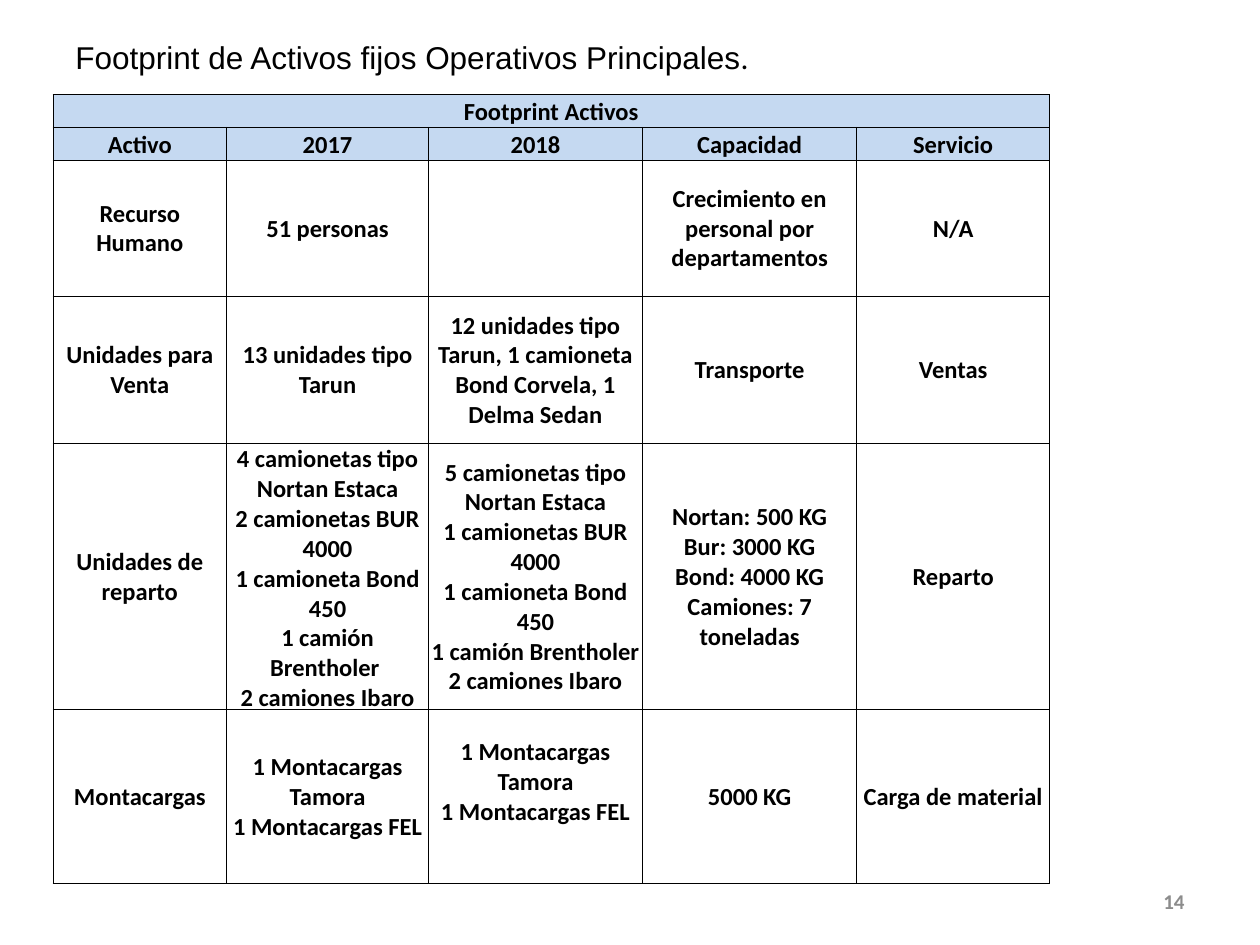
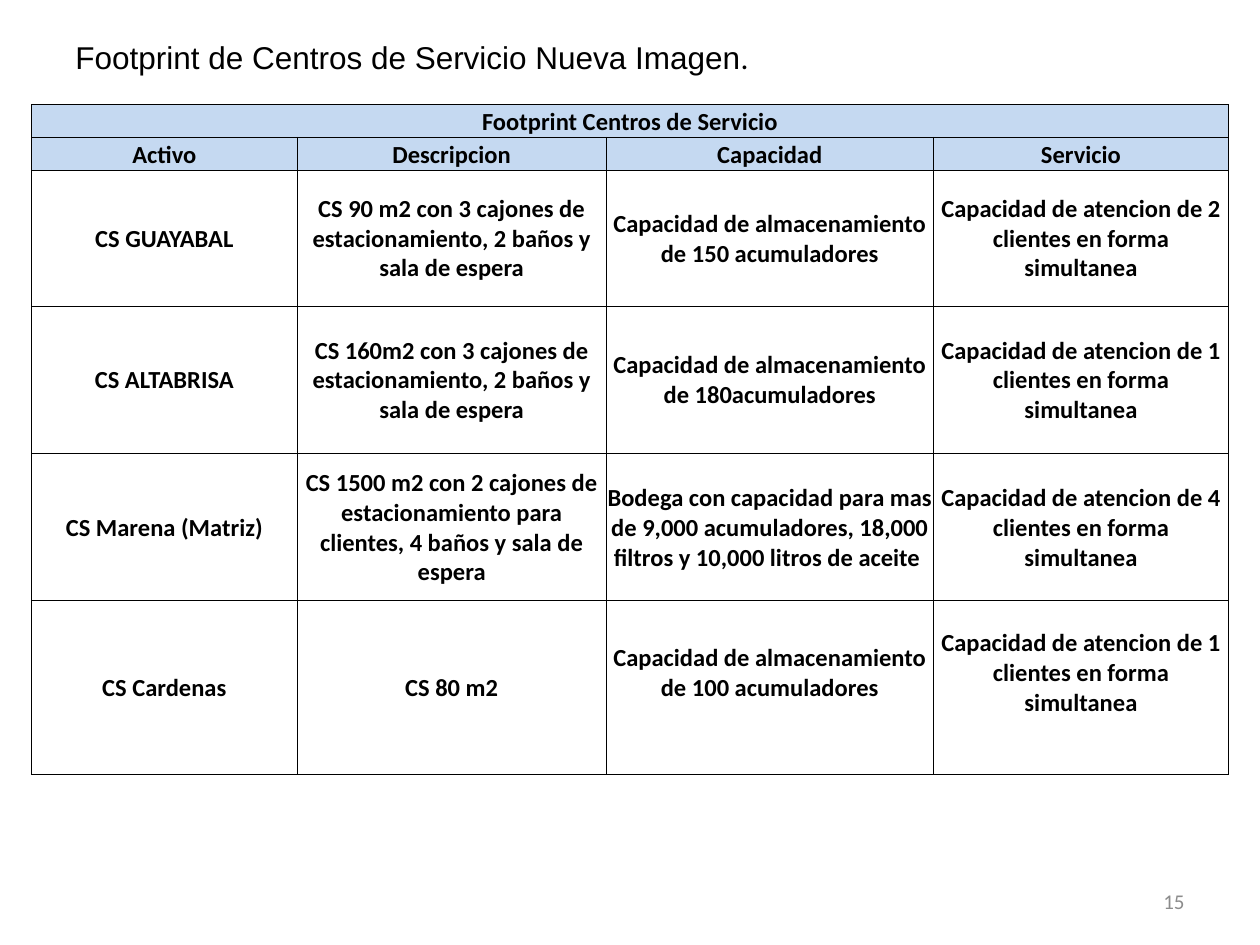
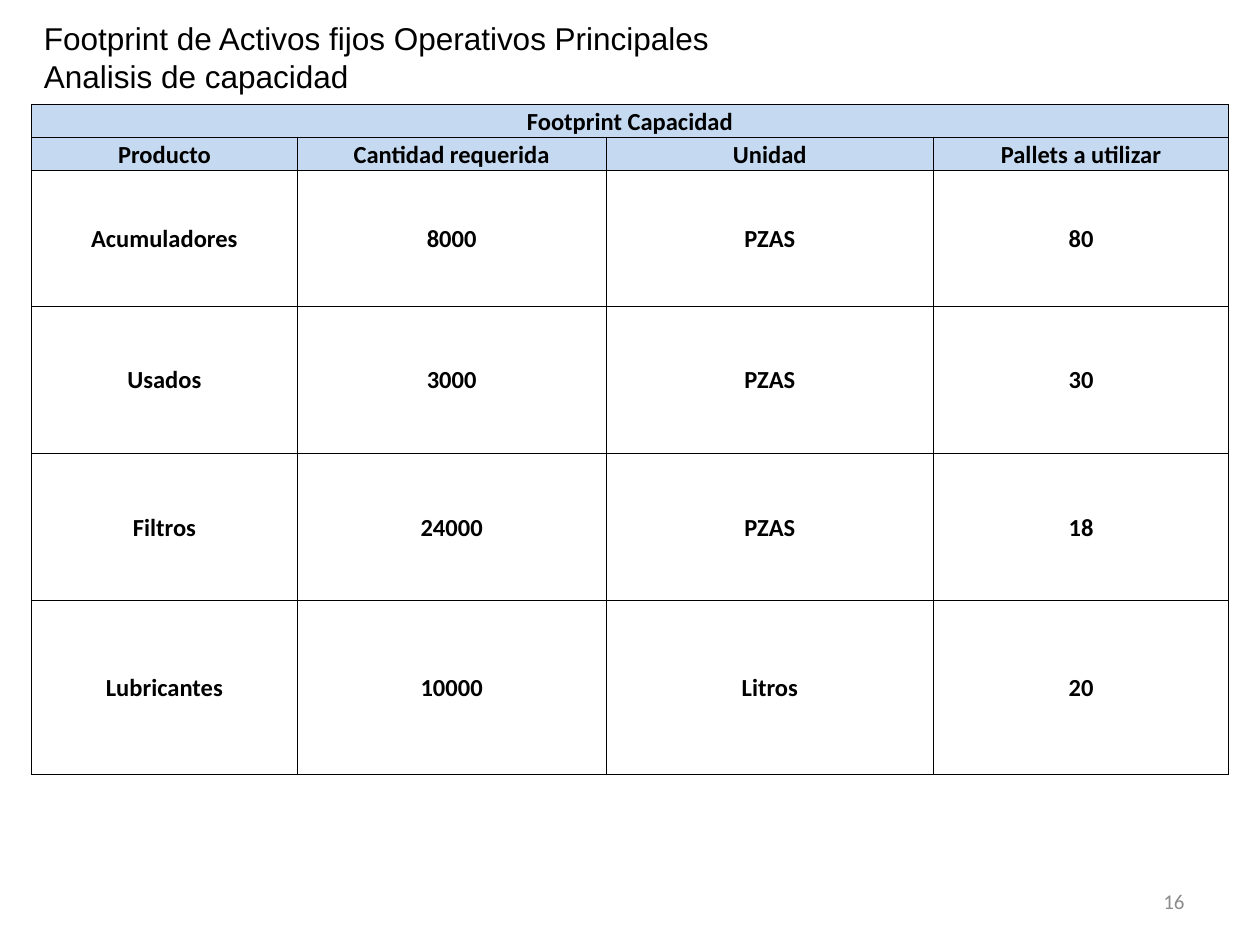
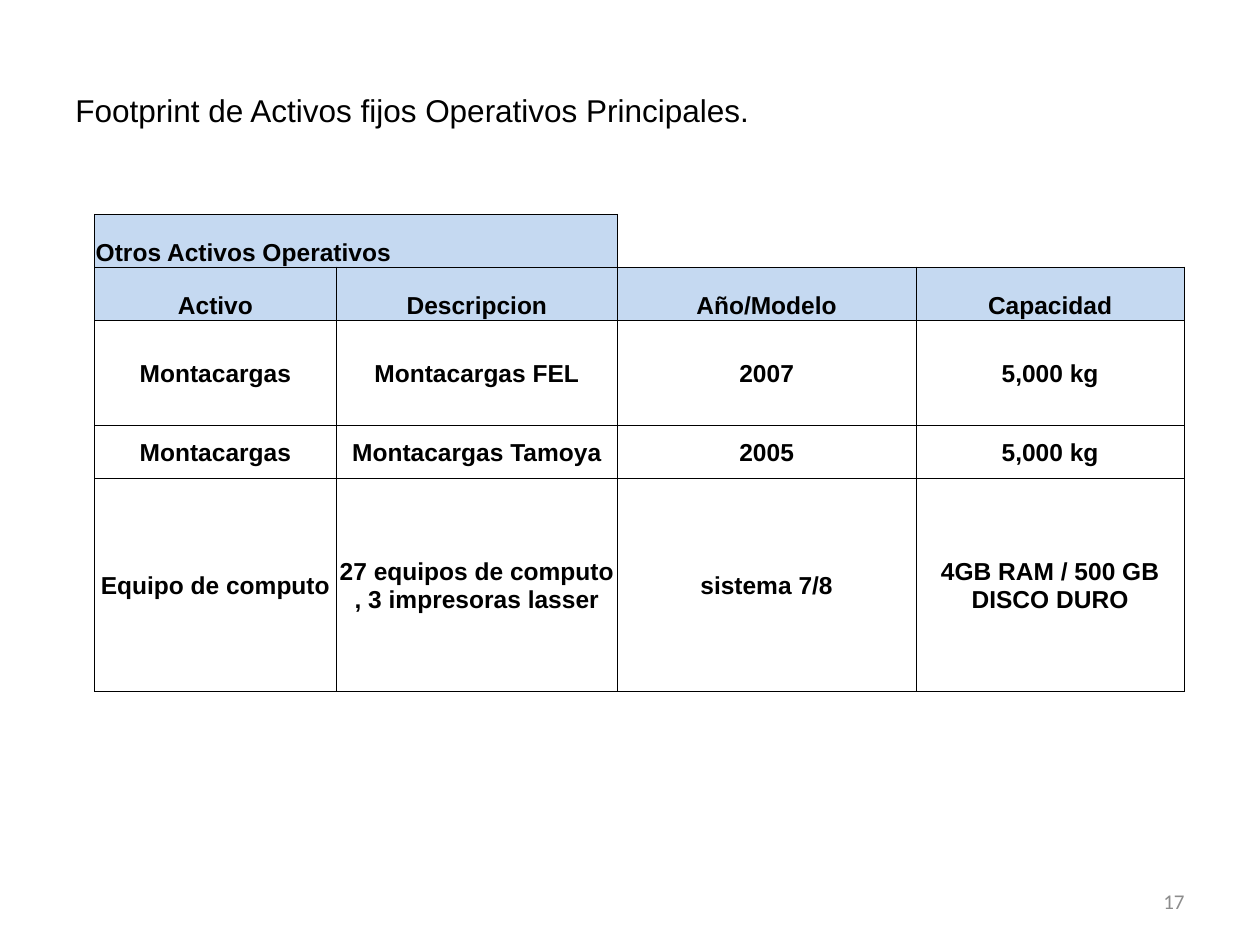
from lxml.etree import SubElement
from pptx import Presentation
from pptx.dml.color import RGBColor
from pptx.enum.text import MSO_ANCHOR, MSO_AUTO_SIZE, PP_ALIGN
from pptx.oxml.ns import qn
from pptx.util import Inches, Pt

BLACK = RGBColor(0x00, 0x00, 0x00)
GRAY = RGBColor(0x8C, 0x8C, 0x8C)
HEADER_BLUE = RGBColor(0xC5, 0xD9, 0xF1)
ALL_SIDES = ("lnL", "lnR", "lnT", "lnB")
NO_STYLE = "{2D5ABB26-0587-4C30-8999-92F81FD0307C}"


def write(frame, text, size=14, font="Calibri", color=BLACK, bold=False,
          align=PP_ALIGN.LEFT, ending=""):
    frame.word_wrap = True
    for index, line in enumerate(text.split("\n")):
        paragraph = frame.paragraphs[0] if index == 0 else frame.add_paragraph()
        paragraph.alignment = align
        pieces = [(line, font)] + ([(ending, "Calibri")] if ending else [])
        for words, face in pieces:
            run = paragraph.add_run()
            run.text = words
            run.font.size = Pt(size)
            run.font.name = face
            run.font.bold = bold
            run.font.color.rgb = color


def draw_borders(cell, sides):
    properties = cell._tc.get_or_add_tcPr()
    for side in sides:
        line = SubElement(properties, qn(f"a:{side}"), w=str(Pt(0.5)))
        fill = SubElement(line, qn("a:solidFill"))
        SubElement(fill, qn("a:srgbClr"), val=str(BLACK))


center_columns = [2.11, 2.45, 2.6, 2.34]
center_rows = [0.26, 0.26, 1.08, 1.17, 1.17, 1.38, 0.17]
attention = "Capacidad de atencion de {} clientes en forma simultanea"
storage = "Capacidad de almacenamiento de {}acumuladores"
fixed_assets = "Footprint de Activos fijos Operativos Principales"

pages = [
    {
        "number": 14, "title": fixed_assets, "ending": ".",
        "title_box": (0.5, 0.25, 6.13, 0.4), "font": "Calibri",
        "corner": (0.42, 0.75), "columns": [1.38, 1.6, 1.7, 1.7, 1.53],
        "rows": [0.26, 0.26, 1.08, 1.17, 2.11, 1.38],
        "heading_span": 5, "raised": [(5, 2)],
        "cells": [
            ["Footprint Activos", "", "", "", ""],
            ["Activo", "2017", "2018", "Capacidad", "Servicio"],
            ["Recurso Humano", "51 personas", "",
             "Crecimiento en personal por departamentos", "N/A"],
            ["Unidades para Venta", "13 unidades tipo Tarun",
             "12 unidades tipo Tarun, 1 camioneta Bond Corvela, 1 Delma Sedan",
             "Transporte", "Ventas"],
            ["Unidades de reparto",
             "4 camionetas tipo Nortan Estaca\n2 camionetas BUR 4000\n"
             "1 camioneta Bond 450\n1 camión Brentholer \n2 camiones Ibaro",
             "5 camionetas tipo Nortan Estaca\n1 camionetas BUR 4000\n"
             "1 camioneta Bond 450\n1 camión Brentholer \n2 camiones Ibaro",
             "Nortan: 500 KG\nBur: 3000 KG\nBond: 4000 KG\nCamiones: 7 toneladas",
             "Reparto"],
            ["Montacargas", "1 Montacargas Tamora\n1 Montacargas FEL",
             "1 Montacargas Tamora\n1 Montacargas FEL", "5000 KG",
             "Carga de material"],
        ],
    },
    {
        "number": 15, "title": "Footprint de Centros de Servicio Nueva Imagen",
        "ending": ".", "title_box": (0.5, 0.25, 6.13, 0.4), "font": "Calibri",
        "corner": (0.25, 0.83), "columns": center_columns, "rows": center_rows,
        "heading_span": 4, "raised": [(5, 2), (5, 3)],
        "cells": [
            ["Footprint Centros de Servicio", "", "", ""],
            ["Activo", "Descripcion", "Capacidad", "Servicio"],
            ["CS GUAYABAL",
             "CS 90 m2 con 3 cajones de estacionamiento, 2 baños y sala de espera",
             storage.format("150 "), attention.format(2)],
            ["CS ALTABRISA",
             "CS 160m2 con 3 cajones de estacionamiento, 2 baños y sala de espera",
             storage.format("180"), attention.format(1)],
            ["CS Marena (Matriz)",
             "CS 1500 m2 con 2 cajones de estacionamiento para clientes, "
             "4 baños y sala de espera",
             "Bodega con capacidad para mas de 9,000 acumuladores, "
             "18,000 filtros y 10,000 litros de aceite ",
             attention.format(4)],
            ["CS Cardenas", "CS 80 m2", storage.format("100 "),
             attention.format(1)],
            [None] * 4,
        ],
    },
    {
        "number": 16, "title": fixed_assets + "\nAnalisis de capacidad",
        "ending": "", "title_box": (0.25, 0.1, 9.08, 0.71), "font": "Calibri",
        "corner": (0.25, 0.83), "columns": center_columns, "rows": center_rows,
        "heading_span": 4, "raised": [],
        "cells": [
            ["Footprint Capacidad", "", "", ""],
            ["Producto", "Cantidad requerida", "Unidad", "Pallets a utilizar"],
            ["Acumuladores", "8000", "PZAS", "80"],
            ["Usados", "3000", "PZAS", "30"],
            ["Filtros", "24000", "PZAS", "18"],
            ["Lubricantes", "10000", "Litros", "20"],
            [None] * 4,
        ],
    },
    {
        "number": 17, "title": fixed_assets + ".", "ending": "",
        "title_box": (0.5, 0.67, 6.13, 0.4), "font": "Arial",
        "corner": (0.75, 1.7), "columns": [1.92, 2.23, 2.37, 2.13],
        "rows": [0.42, 0.42, 0.84, 0.42, 1.69],
        "heading_span": 2, "raised": [],
        "cells": [
            ["Otros Activos Operativos", "", None, None],
            ["Activo", "Descripcion", "Año/Modelo", "Capacidad"],
            ["Montacargas", "Montacargas FEL", "2007", "5,000 kg"],
            ["Montacargas", "Montacargas Tamoya", "2005", "5,000 kg"],
            ["Equipo de computo", "27 equipos de computo , 3 impresoras lasser",
             "sistema 7/8", "4GB RAM / 500 GB DISCO DURO"],
        ],
    },
]

deck = Presentation()
deck.slide_width, deck.slide_height = Inches(10), Inches(7.5)

for page in pages:
    slide = deck.slides.add_slide(deck.slide_layouts[6])

    page_number = slide.shapes.add_textbox(
        Inches(7.17), Inches(6.95), Inches(2.33), Inches(0.4)).text_frame
    page_number.vertical_anchor = MSO_ANCHOR.MIDDLE
    write(page_number, str(page["number"]), size=12, color=GRAY,
          bold=page["number"] == 14, align=PP_ALIGN.RIGHT)

    title = slide.shapes.add_textbox(*map(Inches, page["title_box"])).text_frame
    title.auto_size = MSO_AUTO_SIZE.SHAPE_TO_FIT_TEXT
    write(title, page["title"], size=18, font="Arial", ending=page["ending"])

    left, top = page["corner"]
    columns, rows = page["columns"], page["rows"]
    footprint = slide.shapes.add_table(
        len(rows), len(columns), Inches(left), Inches(top),
        Inches(sum(columns)), Inches(sum(rows))).table
    footprint.first_row = footprint.horz_banding = False
    footprint._tbl.tblPr.find(qn("a:tableStyleId")).text = NO_STYLE
    for column, width in zip(footprint.columns, columns):
        column.width = Inches(width)
    for row, height in zip(footprint.rows, rows):
        row.height = Inches(height)
    footprint.cell(0, 0).merge(footprint.cell(0, page["heading_span"] - 1))

    for r, texts in enumerate(page["cells"]):
        for c, text in enumerate(texts):
            cell = footprint.cell(r, c)
            cell.margin_left = cell.margin_right = cell.margin_top = Inches(0.01)
            cell.margin_bottom = Inches(0.24 if (r, c) in page["raised"] else 0)
            cell.vertical_anchor = MSO_ANCHOR.BOTTOM if r < 2 else MSO_ANCHOR.MIDDLE
            if text is not None:
                draw_borders(cell, ALL_SIDES)
            elif r > 0:
                draw_borders(cell, ["lnT"])
            else:
                draw_borders(cell, ["lnL", "lnB"] if texts[c - 1] is not None else ["lnB"])
            if r < 2 and text is not None:
                cell.fill.solid()
                cell.fill.fore_color.rgb = HEADER_BLUE
            else:
                cell.fill.background()
            if text:
                left_heading = r == 0 and page["heading_span"] < len(columns)
                write(cell.text_frame, text, font=page["font"], bold=True,
                      align=PP_ALIGN.LEFT if left_heading else PP_ALIGN.CENTER)
            else:
                cell.text_frame.paragraphs[0]._p.get_or_add_endParaRPr().set("sz", "800")

deck.save("out.pptx")
